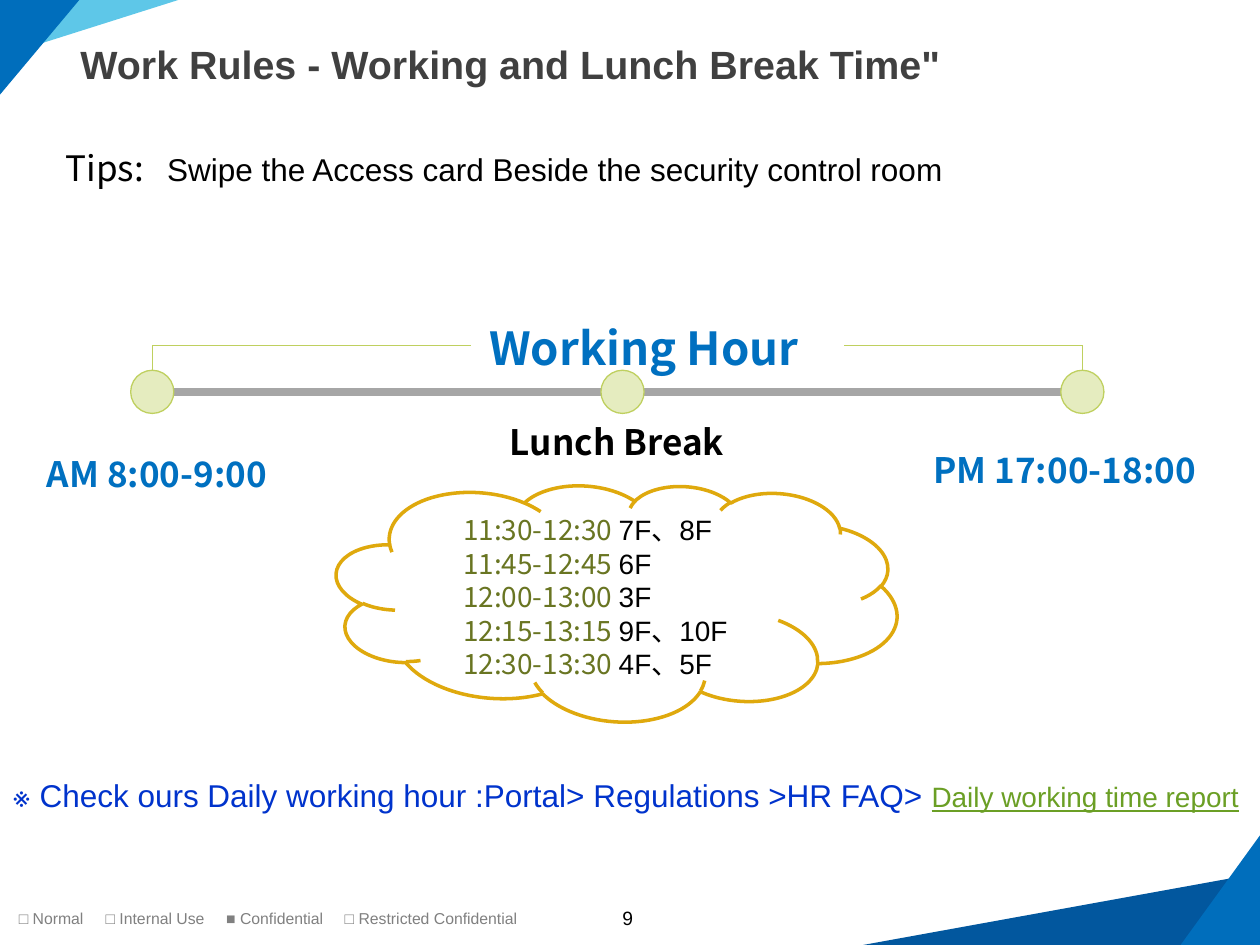
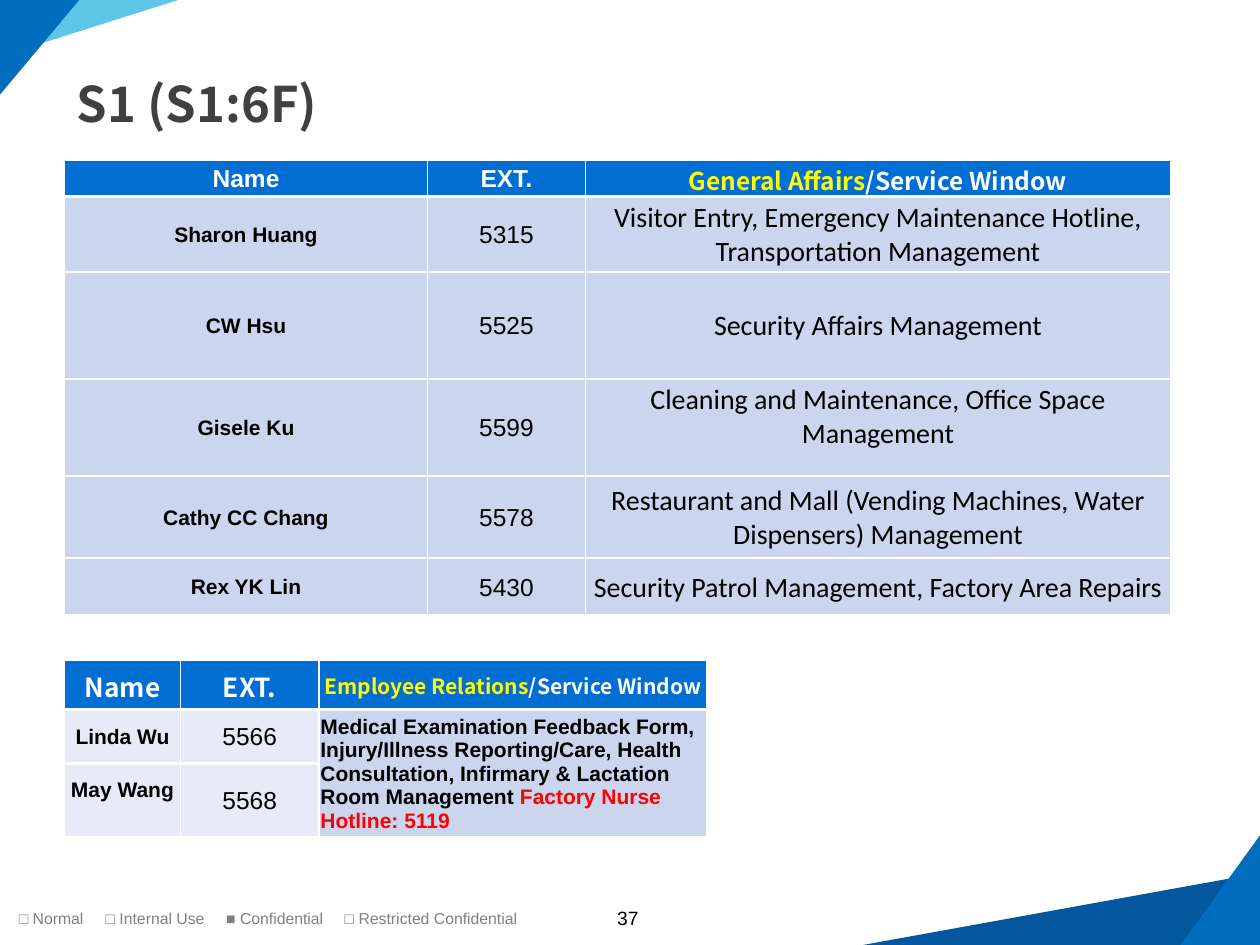
import pptx
import pptx.dml.color
import pptx.enum.shapes
import pptx.enum.text
import pptx.oxml
import pptx.oxml.ns
import pptx.util

SHAPES = pptx.enum.shapes.MSO_SHAPE
ALIGN = pptx.enum.text.PP_ALIGN
ANCHOR = pptx.enum.text.MSO_ANCHOR

WHITE, BLACK, DARK, GREY = "FFFFFF", "000000", "404040", "808080"
BLUE, NAVY, SKY, LABEL_BLUE, NOTE_BLUE = "006EBC", "02579E", "5EC7E8", "0070C0", "0033CC"
HEADER, ROW, PALE_ROW = "006ED2", "CBD5EE", "E7EBF7"
LIME, PALE_LIME, OLIVE, GOLD = "BFD05F", "E5ECBF", "697522", "DFA90D"
LINK, YELLOW, RED, BAR = "6B9F25", "FFFF00", "FF0000", "A6A6A6"

ARIAL, NOTO, CALIBRI = "Arial", "Noto Sans CJK SC", "Calibri"


def rgb(hex_color):
    return pptx.dml.color.RGBColor.from_string(hex_color)


def cm(*lengths):
    return [pptx.util.Cm(length) for length in lengths]


def style(size, name=ARIAL, color=BLACK, **extra):
    """Return the font values of a run."""
    return {"size": pptx.util.Pt(size), "name": name, "color": color, **extra}


def add_runs(paragraph, runs):
    for text, values in runs:
        run = paragraph.add_run()
        run.text = text
        for key, value in values.items():
            if key == "color":
                run.font.color.rgb = rgb(value)
            else:
                setattr(run.font, key, value)


def add_tabs(paragraph, positions):
    stops = "".join(f'<a:tab pos="{pptx.util.Cm(position)}" algn="l"/>' for position in positions)
    paragraph._p.get_or_add_pPr().append(pptx.oxml.parse_xml(
        f'<a:tabLst {pptx.oxml.ns.nsdecls("a")}>{stops}</a:tabLst>'))


def write(shape, paragraphs, align=ALIGN.LEFT, tabs=(), line_spacing=None, **frame_values):
    """Fill a shape with paragraphs, each a list of (text, style) runs."""
    frame = shape.text_frame
    for key, value in {"word_wrap": True, **frame_values}.items():
        setattr(frame, key, value)
    for index, runs in enumerate(paragraphs):
        paragraph = frame.add_paragraph() if index else frame.paragraphs[0]
        paragraph.alignment = align
        if line_spacing:
            paragraph.line_spacing = line_spacing
        if tabs:
            add_tabs(paragraph, tabs)
        add_runs(paragraph, runs)


def add_text(slide, box, paragraphs, **options):
    write(slide.shapes.add_textbox(*cm(*box)), paragraphs, **options)


def add_shape(slide, kind, box, fill=None, line=None, width=0.75):
    shape = slide.shapes.add_shape(kind, *cm(*box))
    shape.shadow.inherit = False
    if fill:
        shape.fill.solid()
        shape.fill.fore_color.rgb = rgb(fill)
    else:
        shape.fill.background()
    if line:
        shape.line.color.rgb = rgb(line)
        shape.line.width = pptx.util.Pt(width)
    else:
        shape.line.fill.background()
    return shape


def add_line(slide, ends, color=LIME, width=0.75):
    line = slide.shapes.add_connector(pptx.enum.shapes.MSO_CONNECTOR.STRAIGHT, *cm(*ends))
    line.line.color.rgb = rgb(color)
    line.line.width = pptx.util.Pt(width)
    line._element.spPr.append(pptx.oxml.parse_xml(f'<a:effectLst {pptx.oxml.ns.nsdecls("a")}/>'))


def add_corner(slide, box, color, rotation=0):
    triangle = add_shape(slide, SHAPES.RIGHT_TRIANGLE, box, color)
    triangle._element.spPr.xfrm.set("flipV", "1")
    triangle.rotation = rotation


def add_base(presentation, number, title, title_box, title_style):
    """Add a slide with the corner triangles, footer and title."""
    slide = presentation.slides.add_slide(presentation.slide_layouts[6])
    add_corner(slide, (0, 0, 3.6, 1.14), SKY)
    add_corner(slide, (0, 0, 1.6, 1.91), BLUE)
    add_text(slide, (11.58, 18.26, 2.26, 0.61), [[(f"{number} ", style(11))]],
             align=ALIGN.CENTER, margin_top=0, margin_bottom=0)
    footer = "□ Normal\t□ Internal Use\t■ Confidential\t□ Restricted Confidential"
    add_text(slide, (0.13, 18.19, 11.46, 0.64), [[(footer, style(9, color=GREY))]],
             tabs=(1.75, 4.18, 6.57))
    add_corner(slide, (17.4, 17.6, 8, 1.45), NAVY, 180)
    add_corner(slide, (23.8, 16.84, 1.6, 2.21), BLUE, 180)
    add_text(slide, title_box, [[(title, title_style)]], line_spacing=0.9,
             vertical_anchor=ANCHOR.MIDDLE)
    return slide


def add_label(slide, box, runs):
    write(add_shape(slide, SHAPES.ROUNDED_RECTANGLE, box), [runs],
          align=ALIGN.CENTER, vertical_anchor=ANCHOR.MIDDLE)


def add_timeline(slide):
    start, noon, end = 3.07, 12.55, 21.82
    axis, bracket, diameter = 7.9, 6.96, 0.87
    add_line(slide, (start, axis, end, axis), BAR, 4.5)
    for x in (start, end):
        add_line(slide, (x, axis - diameter / 2, x, bracket))
    for x in (start, noon, end):
        add_shape(slide, SHAPES.OVAL, (x - diameter / 2, axis - diameter / 2, diameter, diameter),
                  PALE_LIME, LIME)
    add_line(slide, (start, bracket, 9.5, bracket))
    add_line(slide, (17.02, bracket, end, bracket))


def set_borders(cell):
    properties = cell._tc.get_or_add_tcPr()
    for side, width in {"L": 1, "R": 1, "T": 1.5, "B": 1.5}.items():
        properties.append(pptx.oxml.parse_xml(
            f'<a:ln{side} {pptx.oxml.ns.nsdecls("a")} w="{pptx.util.Pt(width)}">'
            f'<a:solidFill><a:srgbClr val="{WHITE}"/></a:solidFill></a:ln{side}>'))


def add_table(slide, left, top, widths, heights, rows, body_fill):
    """Add a table of centred cells; every cell is a list of runs."""
    frame = slide.shapes.add_table(len(rows), len(widths),
                                   *cm(left, top, sum(widths), sum(heights)))
    table = frame.table
    for column, width in zip(table.columns, widths):
        column.width = pptx.util.Cm(width)
    for row, height in zip(table.rows, heights):
        row.height = pptx.util.Cm(height)
    margins = dict(zip(("margin_left", "margin_right", "margin_top", "margin_bottom"),
                       cm(0.03, 0.03, 0.03, 0)))
    for row_index, row in enumerate(rows):
        for column_index, runs in enumerate(row):
            cell = table.cell(row_index, column_index)
            for key, value in {**margins, "vertical_anchor": ANCHOR.MIDDLE}.items():
                setattr(cell, key, value)
            set_borders(cell)
            cell.fill.solid()
            cell.fill.fore_color.rgb = rgb(body_fill if row_index else HEADER)
            paragraph = cell.text_frame.paragraphs[0]
            paragraph.alignment = ALIGN.CENTER
            add_runs(paragraph, runs)
    return table


def build_working_time(presentation):
    slide = add_base(presentation, 9, 'Work Rules - Working and Lunch Break Time"',
                     (1.37, 0.76, 23.9, 1.19), style(22.5, color=DARK, bold=True))
    hours = style(20, NOTO, LABEL_BLUE, bold=True)
    add_label(slide, (9.88, 8.26, 5.28, 1.27), [("Lunch Break ", style(20, NOTO, bold=True))])
    add_label(slide, (0, 8.36, 6.15, 2.36),
              [(" ", style(18, bold=True)), ("AM 8:00-9:00", hours)])
    add_label(slide, (18.11, 8.23, 6.71, 2.49), [("PM 17:00-18:00", hours)])
    cloud = add_shape(slide, SHAPES.CLOUD, (6.76, 9.7, 11.33, 4.83), WHITE, GOLD, 2)
    cloud.rotation = 4.2
    add_text(slide, (1.07, 2.82, 20.32, 1.12), [[
        ("Tips:\t", style(20, NOTO)),
        ("Swipe the Access card Beside the security control room", style(18))]], tabs=(2.05,))
    add_text(slide, (8.1, 6.22, 9.98, 1.55),
             [[("Working Hour ", style(26, NOTO, LABEL_BLUE, bold=True))]],
             align=ALIGN.CENTER, vertical_anchor=ANCHOR.MIDDLE, word_wrap=False)
    add_timeline(slide)
    breaks = [("11:30-12:30", "7F、8F"), ("11:45-12:45", "6F"), ("12:00-13:00", "3F"),
              ("12:15-13:15", "9F、10F"), ("12:30-13:30", "4F、5F")]
    add_text(slide, (9.09, 10.21, 6.65, 4.37),
             [[(f"{time} ", style(16, NOTO, OLIVE)), (floors, style(16))]
              for time, floors in breaks])
    add_text(slide, (0, 15.52, 25.65, 2.57), [[
        ("※ Check ours Daily working hour :Portal> Regulations >HR FAQ> ",
         style(18, color=NOTE_BLUE)),
        ("Daily working time report", style(16, color=LINK, underline=True))]])


def build_contacts(presentation):
    slide = add_base(presentation, 37, "S1 (S1:6F)", (1.3, 1.55, 22.81, 1.19),
                     style(28, NOTO, DARK, bold=True))
    left = 1.3
    name, extension, service = style(12, bold=True), style(14), style(16, CALIBRI)

    heading = style(14, color=WHITE, bold=True)
    contacts = [
        ("Sharon Huang", "5315",
         "Visitor Entry, Emergency Maintenance Hotline, Transportation Management"),
        ("CW Hsu", "5525", "Security Affairs Management"),
        ("Gisele Ku", "5599", "Cleaning and Maintenance, Office Space Management"),
        ("Cathy CC Chang", "5578",
         "Restaurant and Mall (Vending Machines, Water Dispensers) Management"),
        ("Rex YK Lin", "5430", "Security Patrol Management, Factory Area Repairs"),
    ]
    rows = [[[("Name", heading)], [("EXT.", heading)],
             [("General Affairs", style(14, NOTO, YELLOW, bold=True)),
              ("/Service Window", style(14, NOTO, WHITE, bold=True))]]]
    rows += [[[cell] for cell in zip(contact, (name, extension, service))]
             for contact in contacts]
    affairs = add_table(slide, left, 3.23, (7.32, 3.18, 11.8),
                        (0.73, 1.52, 2.16, 1.96, 1.65, 1.16), rows, ROW)
    cleaning = affairs.cell(3, 2)
    cleaning.vertical_anchor = ANCHOR.TOP
    cleaning.margin_top = pptx.util.Cm(0.08)

    heading = style(15, NOTO, WHITE, bold=True)
    rows = [
        [[("Name", heading)], [("EXT.", heading)],
         [("Employee Relations", style(12, NOTO, YELLOW, bold=True)),
          ("/Service Window", style(12, NOTO, WHITE, bold=True))]],
        [[("Linda Wu", name)], [("5566", extension)],
         [("Medical Examination Feedback Form, Injury/Illness Reporting/Care, Health "
           "Consultation, Infirmary & Lactation Room Management ", name),
          ("Factory Nurse Hotline: 5119", style(12, color=RED, bold=True))]],
        [[("May Wang", name)], [("5568", extension)], []],
    ]
    relations = add_table(slide, left, 13.31, (2.34, 2.79, 7.82), (0.99, 1.09, 1.28),
                          rows, PALE_ROW)
    relations.cell(2, 0).margin_bottom = pptx.util.Cm(0.45)
    duties = relations.cell(1, 2)
    duties.merge(relations.cell(2, 2))
    duties.fill.fore_color.rgb = rgb(ROW)
    duties.text_frame.paragraphs[0].alignment = ALIGN.LEFT


def main():
    presentation = pptx.Presentation()
    presentation.slide_width, presentation.slide_height = cm(25.4, 19.05)
    build_working_time(presentation)
    build_contacts(presentation)
    presentation.save("out.pptx")


if __name__ == "__main__":
    main()
